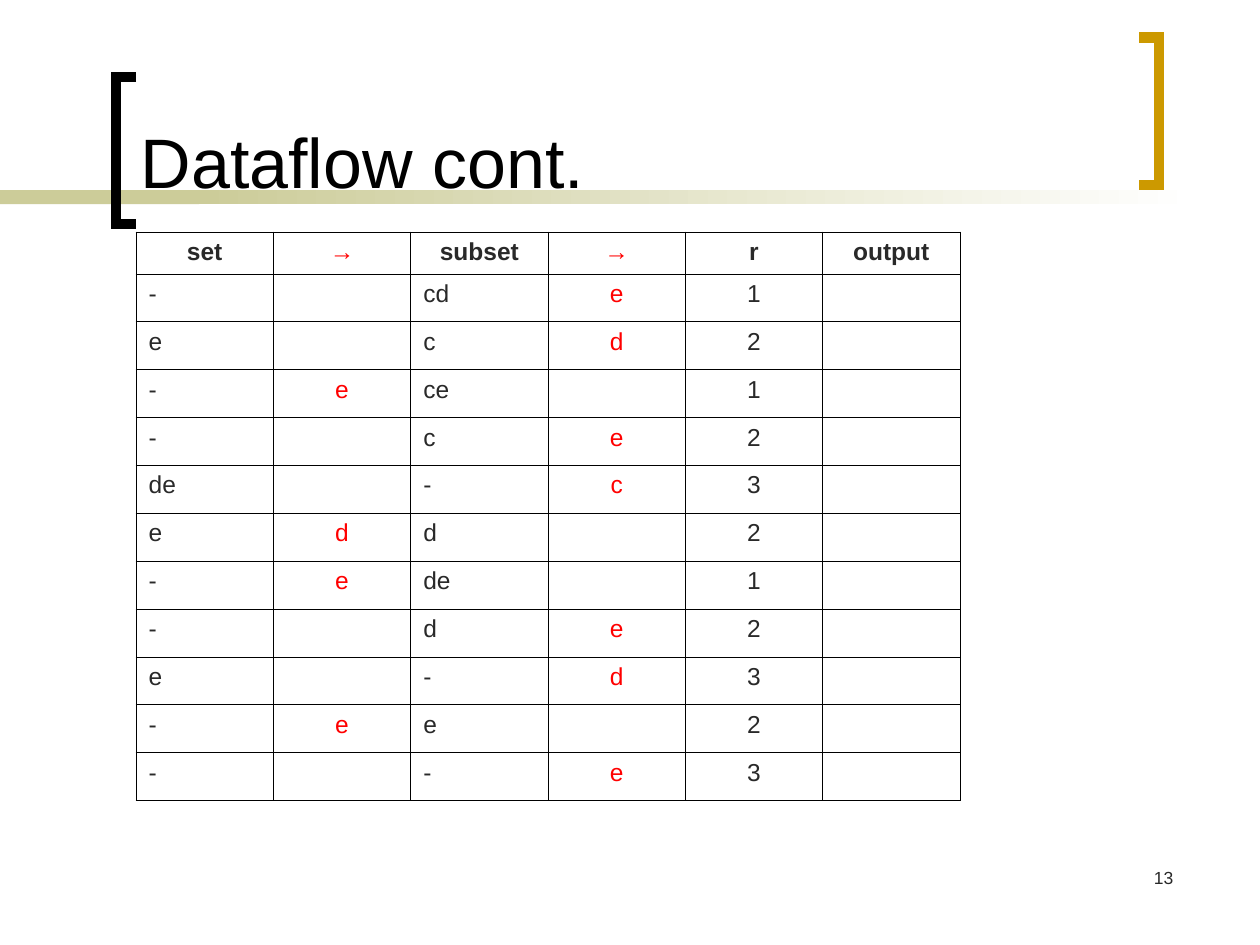
from lxml.etree import SubElement
from pptx import Presentation
from pptx.dml.color import RGBColor
from pptx.enum.shapes import MSO_SHAPE as Shape
from pptx.enum.text import MSO_ANCHOR as Anchor, PP_ALIGN as Align
from pptx.oxml.ns import qn
from pptx.util import Inches, Pt

WIDTH, HEIGHT = 10, 7.5
FONT = "Arial"
COLORS = {
    "black": "000000", "white": "FFFFFF", "text": "292929",
    "moved": "FF0000", "band": "CCCC99", "gold": "CC9900",
}
HEADER = ("set", "→", "subset", "→", "r", "output")
STEPS = (
    ("-", "", "cd", "e", "1", ""),
    ("e", "", "c", "d", "2", ""),
    ("-", "e", "ce", "", "1", ""),
    ("-", "", "c", "e", "2", ""),
    ("de", "", "-", "c", "3", ""),
    ("e", "d", "d", "", "2", ""),
    ("-", "e", "de", "", "1", ""),
    ("-", "", "d", "e", "2", ""),
    ("e", "", "-", "d", "3", ""),
    ("-", "e", "e", "", "2", ""),
    ("-", "", "-", "e", "3", ""),
)
SET_COLUMNS = (0, 2)
MOVE_COLUMNS = (1, 3)
TABLE_LEFT, TABLE_TOP = 1.08, 1.84
COLUMN_WIDTH, HEADER_HEIGHT, ROW_HEIGHT = 1.09, 0.33, 0.38
BAND_TOP, BAND_HEIGHT, BAND_SPLIT, BAND_RIGHT = 1.51, 0.11, 1.58, 9.5
BRACKET_WIDTH, BRACKET_HEIGHT, BRACKET_LINE = 0.16, 1.17, 6


def color(name):
    return RGBColor.from_string(COLORS[name])


def style(paragraph, size, color_name, align=Align.LEFT, bold=False):
    paragraph.alignment = align
    font = paragraph.font
    font.name, font.size, font.bold = FONT, Pt(size), bold
    font.color.rgb = color(color_name)


def add_text(slide, box, text, size, color_name, align=Align.LEFT, anchor=Anchor.TOP):
    frame = slide.shapes.add_textbox(*map(Inches, box)).text_frame
    frame.word_wrap = True
    frame.vertical_anchor = anchor
    paragraph = frame.paragraphs[0]
    paragraph.text = text
    style(paragraph, size, color_name, align)


def add_band(slide, left, right):
    box = (left, BAND_TOP, right - left, BAND_HEIGHT)
    shape = slide.shapes.add_shape(Shape.RECTANGLE, *map(Inches, box))
    shape.shadow.inherit = False
    shape.line.fill.background()
    return shape.fill


def add_fading_band(slide):
    solid = add_band(slide, 0, BAND_SPLIT)
    solid.solid()
    solid.fore_color.rgb = color("band")
    fade = add_band(slide, BAND_SPLIT, BAND_RIGHT)
    fade.gradient()
    fade.gradient_angle = 0
    for stop, name in zip(fade.gradient_stops, ("band", "white")):
        stop.color.rgb = color(name)


def add_bracket(slide, spine, tip, top, color_name):
    """Draw a square bracket whose arms reach from the spine to the tip."""
    bottom = top + BRACKET_HEIGHT
    corners = [(spine, top), (spine, bottom), (tip, bottom)]
    builder = slide.shapes.build_freeform(Inches(tip), Inches(top))
    builder.add_line_segments([(Inches(x), Inches(y)) for x, y in corners], close=False)
    shape = builder.convert_to_shape()
    shape.shadow.inherit = False
    shape.fill.background()
    shape.line.color.rgb = color(color_name)
    shape.line.width = Pt(BRACKET_LINE)
    SubElement(shape.line._get_or_add_ln(), qn("a:miter"), lim="800000")


def add_borders(cell):
    properties = cell._tc.get_or_add_tcPr()
    for position, side in enumerate(("a:lnL", "a:lnR", "a:lnT", "a:lnB")):
        line = properties.makeelement(qn(side), {"w": str(Pt(0.45))})
        fill = SubElement(line, qn("a:solidFill"))
        SubElement(fill, qn("a:srgbClr"), val=COLORS["black"])
        properties.insert(position, line)


def fill_cell(cell, text, row, column):
    cell.fill.background()
    add_borders(cell)
    paragraph = cell.text_frame.paragraphs[0]
    paragraph.text = text
    is_header = row == 0
    left_aligned = column in SET_COLUMNS and not is_header
    style(paragraph, 14, "moved" if column in MOVE_COLUMNS else "text",
          Align.LEFT if left_aligned else Align.CENTER, is_header)


def add_steps_table(slide):
    rows = (HEADER, *STEPS)
    size = (len(HEADER) * COLUMN_WIDTH, HEADER_HEIGHT + len(STEPS) * ROW_HEIGHT)
    table = slide.shapes.add_table(
        len(rows), len(HEADER), *map(Inches, (TABLE_LEFT, TABLE_TOP, *size))).table
    for column in table.columns:
        column.width = Inches(COLUMN_WIDTH)
    for row, texts in enumerate(rows):
        table.rows[row].height = Inches(ROW_HEIGHT if row else HEADER_HEIGHT)
        for column, text in enumerate(texts):
            fill_cell(table.cell(row, column), text, row, column)


def main():
    presentation = Presentation()
    presentation.slide_width, presentation.slide_height = Inches(WIDTH), Inches(HEIGHT)
    slide = presentation.slides.add_slide(presentation.slide_layouts[6])
    add_fading_band(slide)
    add_bracket(slide, 0.92, 0.92 + BRACKET_WIDTH, 0.61, "black")
    add_bracket(slide, 9.2, 9.2 - BRACKET_WIDTH, 0.3, "gold")
    add_text(slide, (7.33, 6.83, 2.08, 0.5), "13", 10, "text", Align.RIGHT)
    add_steps_table(slide)
    add_text(slide, (1.02, 0.11, 7.83, 1.55), "Dataflow cont.", 40, "black",
             anchor=Anchor.BOTTOM)
    presentation.save("out.pptx")


if __name__ == "__main__":
    main()
